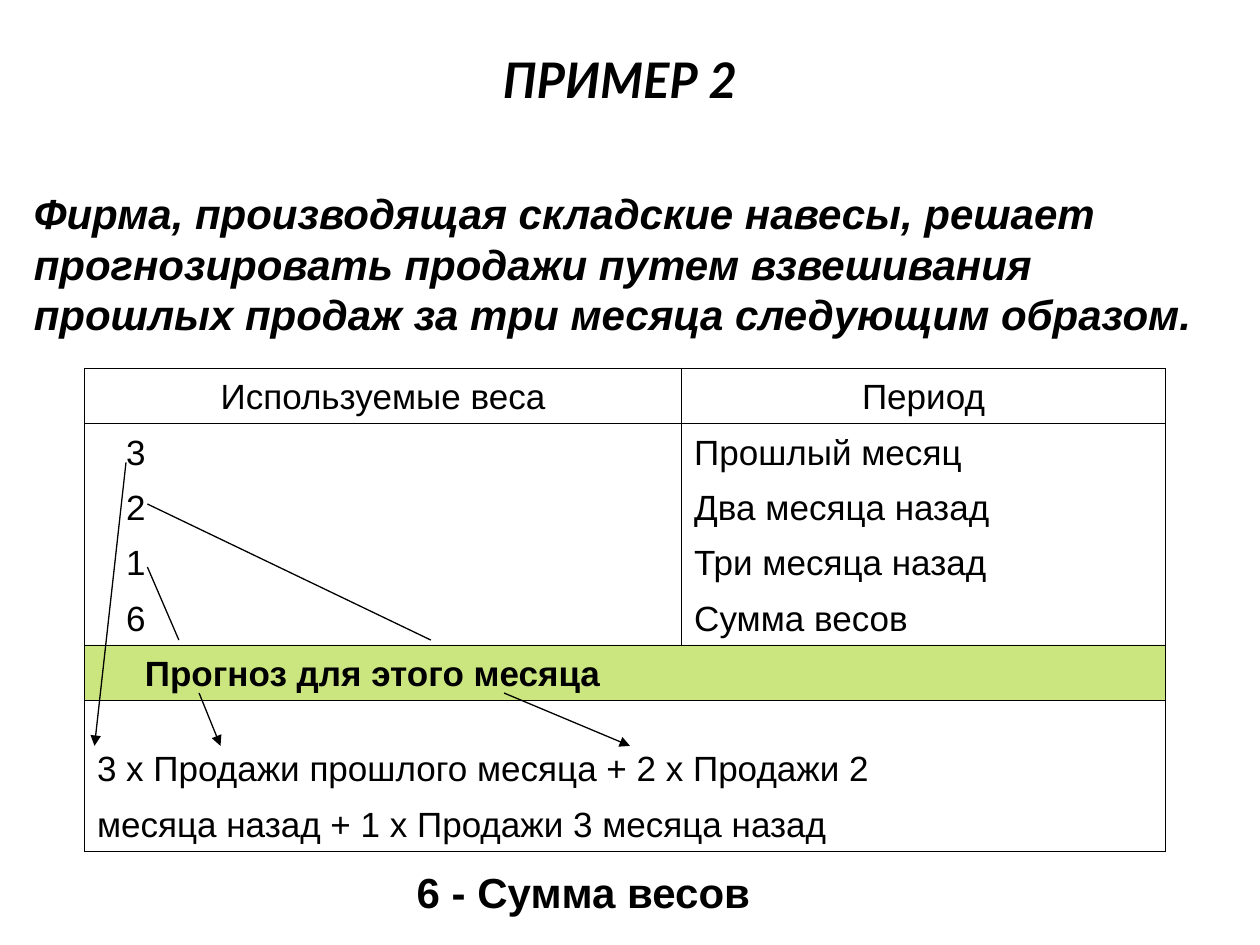
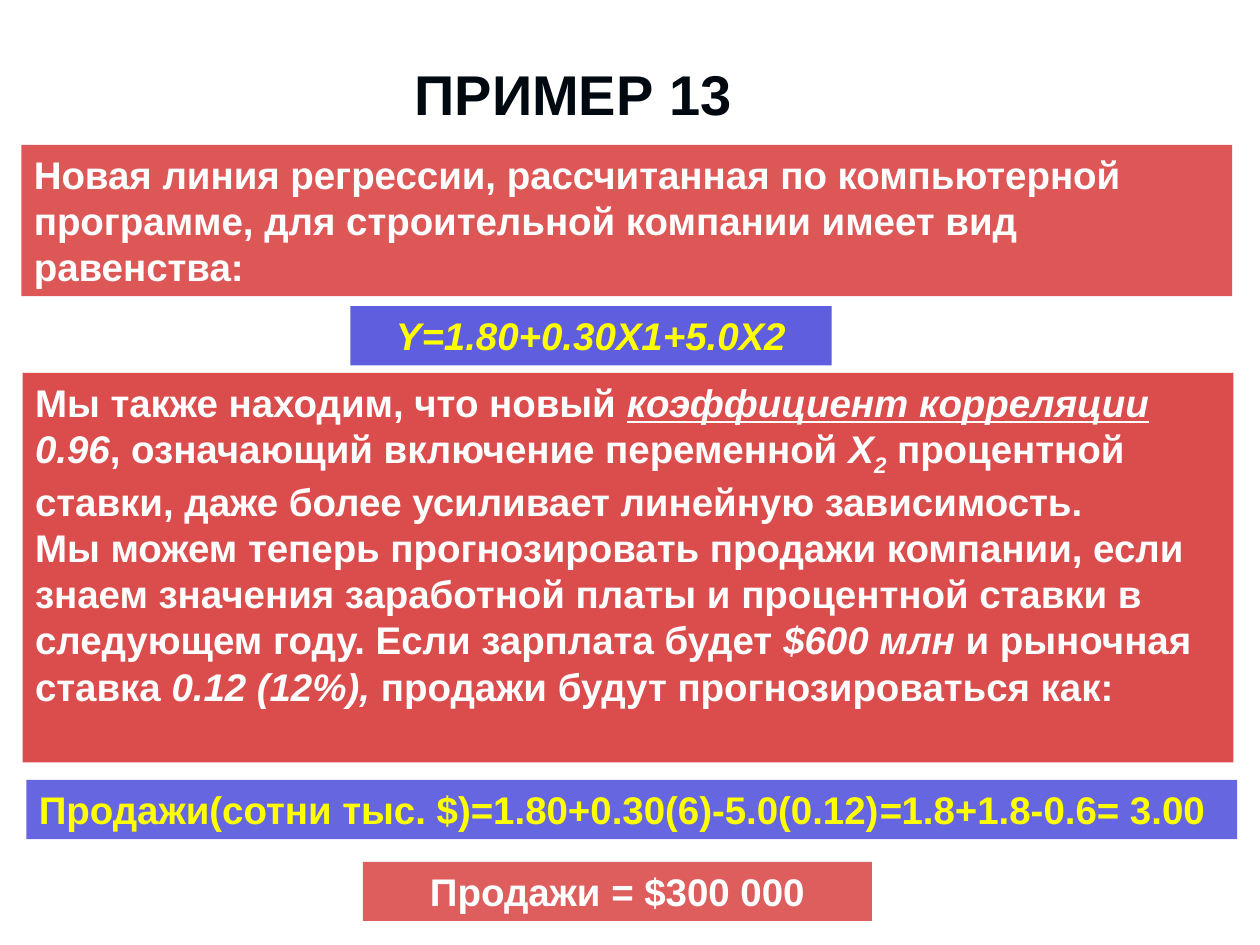
from lxml import etree
from pptx import Presentation
from pptx import util as u
from pptx.dml.color import RGBColor
from pptx.enum import shapes, text
from pptx.oxml import ns

Inches = u.Inches
BLACK = RGBColor(0x00, 0x00, 0x00)
INK = RGBColor(0x00, 0x08, 0x10)
WHITE = RGBColor(0xFF, 0xFF, 0xFF)
YELLOW = RGBColor(0xFF, 0xFF, 0x00)
RED = RGBColor(0xCC, 0x00, 0x00)
BLUE = RGBColor(0x00, 0x00, 0xCC)
GREEN = RGBColor(0x99, 0xCC, 0x00)
LEFT, CENTER = text.PP_ALIGN.LEFT, text.PP_ALIGN.CENTER
TOP, MIDDLE, BOTTOM = text.MSO_ANCHOR.TOP, text.MSO_ANCHOR.MIDDLE, text.MSO_ANCHOR.BOTTOM
PLAIN, ITALIC = {}, {"italic": True}


def write(frame, paragraphs, color, look, align=LEFT, anchor=TOP):
    settings = {"word_wrap": True, "auto_size": text.MSO_AUTO_SIZE.NONE, "vertical_anchor": anchor}
    for name, value in settings.items():
        setattr(frame, name, value)
    for index, pieces in enumerate(paragraphs):
        para = frame.add_paragraph() if index else frame.paragraphs[0]
        para.alignment = align
        for words, extra in pieces:
            span = para.add_run()
            span.text = words
            span.font.color.rgb = color
            for name, value in ({"name": "Arial"} | look | extra).items():
                if name == "baseline":
                    span.font._element.set(name, value)
                else:
                    setattr(span.font, name, value)


def set_alpha(fill_parent, percent):
    tint = fill_parent.find(ns.qn("a:solidFill"))[0]
    etree.SubElement(tint, ns.qn("a:alpha"), val=str(percent * 1000))


deck = Presentation()
deck.slide_width, deck.slide_height = Inches(10), Inches(7.5)

titles = [
    ("ПРИМЕР 2", (0.42, 0, 9, 1.25), BLACK, CENTER, MIDDLE,
     {"name": "Lato", "size": u.Pt(28), "bold": True, "italic": True}),
    ("ПРИМЕР 13", (3.19, 0.42, 2.76, 0.64), INK, LEFT, TOP, {"size": u.Pt(32), "bold": True}),
]
pages = []
for words, place, color, align, anchor, look in titles:
    page = deck.slides.add_slide(deck.slide_layouts[5])
    title = page.shapes.title
    title.left, title.top, title.width, title.height = map(Inches, place)
    write(title.text_frame, [[(words, PLAIN)]], color, look, align, anchor)
    pages.append(page)
weights_page, regression_page = pages

notes = [
    ("Фирма, производящая складские навесы, решает прогнозировать продажи путем взвешивания "
     "прошлых продаж за три месяца следующим образом.",
     (0.17, 1.42, 9.42, 1.27), (0.07, 0), LEFT, ITALIC),
    ("6 - Сумма весов", (2.92, 6.83, 3.42, 0.5), (0.05, 0.05), CENTER, PLAIN),
]
for words, place, margins, align, extra in notes:
    box = weights_page.shapes.add_textbox(*map(Inches, place))
    box.text_frame.margin_top, box.text_frame.margin_bottom = map(Inches, margins)
    write(box.text_frame, [[(words, extra)]], BLACK, {"size": u.Pt(24), "bold": True}, align, MIDDLE)

rows = [
    ("Используемые веса", "Период"),
    ("3", "Прошлый месяц"),
    ("2", "Два месяца назад"),
    ("1", "Три месяца назад"),
    ("6", "Сумма весов"),
    ("Прогноз для этого месяца",),
    ("3 х Продажи прошлого месяца + 2 х Продажи 2",),
    ("месяца назад + 1 х Продажи 3 месяца назад",),
]
heights = [0.44] * 6 + [0.75, 0.45]
header_row, forecast_row = 0, 5
ruled_below = {0, 4, 5, 7}
table = weights_page.shapes.add_table(
    len(rows), 2, Inches(0.67), Inches(2.92), Inches(8.58), Inches(sum(heights))).table
table.first_row = table.horz_banding = False
for column, width in zip(table.columns, (4.74, 3.84)):
    column.width = Inches(width)
for row_index, (row, height) in enumerate(zip(rows, heights)):
    table.rows[row_index].height = Inches(height)
    if len(row) == 1:
        table.cell(row_index, 0).merge(table.cell(row_index, 1))
    for column_index in range(2):
        cell = table.cell(row_index, column_index)
        properties = cell._tc.get_or_add_tcPr()
        edges = {"L": True, "R": True, "T": row_index == 0 or row_index - 1 in ruled_below,
                 "B": row_index in ruled_below}
        for side, ruled in edges.items():
            edge = etree.SubElement(properties, ns.qn("a:ln" + side), w=str(u.Pt(0.45)))
            paint = etree.SubElement(edge, ns.qn("a:solidFill" if ruled else "a:noFill"))
            if ruled:
                etree.SubElement(paint, ns.qn("a:srgbClr"), val=str(BLACK))
        if row_index == forecast_row:
            cell.fill.solid()
            cell.fill.fore_color.rgb = GREEN
            set_alpha(properties, 50)
        else:
            cell.fill.background()
        cell.vertical_anchor = BOTTOM
        if column_index < len(row):
            if row_index == forecast_row:
                cell.margin_left = Inches(0.48)
            elif column_index == 0 and header_row < row_index < forecast_row:
                cell.margin_left = Inches(0.33)
            para = cell.text_frame.paragraphs[0]
            para.alignment = CENTER if row_index == header_row else LEFT
            span = para.add_run()
            span.text = row[column_index]
            span.font.color.rgb = BLACK
            look = {"name": "Arial", "size": u.Pt(20), "bold": row_index == forecast_row}
            for name, value in look.items():
                setattr(span.font, name, value)

links = [
    (1, 3.67, 0.75, 5.92, True),
    (1.17, 4.5, 1.42, 5.08, False),
    (1.58, 5.5, 1.75, 5.92, True),
    (1.17, 4, 3.42, 5.08, False),
    (4, 5.5, 5, 5.92, True),
]
for *ends, has_arrow in links:
    link = weights_page.shapes.add_connector(shapes.MSO_CONNECTOR.STRAIGHT, *map(Inches, ends))
    link.line.color.rgb = BLACK
    link.line.width = u.Pt(0.75)
    if has_arrow:
        etree.SubElement(link.line._get_or_add_ln(), ns.qn("a:tailEnd"), type="triangle")
    etree.SubElement(link._element.spPr, ns.qn("a:effectLst"))

correlation = [
    ("Мы также находим, что новый ", PLAIN),
    ("коэффициент корреляции", {"italic": True, "underline": True}),
    (" ", PLAIN),
    ("0.96", ITALIC),
    (", означающий включение переменной ", PLAIN),
    ("Х", ITALIC),
    ("2", {"italic": True, "baseline": "-25000"}),
    (" процентной ставки, даже более усиливает линейную зависимость.", PLAIN),
]
forecast = [
    ("Мы можем теперь прогнозировать продажи компании, если знаем значения заработной платы "
     "и процентной ставки в следующем году. Если зарплата будет ", PLAIN),
    ("$600 млн", ITALIC),
    (" и рыночная ставка ", PLAIN),
    ("0.12 (12%),", ITALIC),
    (" продажи будут прогнозироваться как:", PLAIN),
]
sales = [
    ("Продажи(сотни тыс. $)=1.80+0.30(6)-5.0(0.12)", PLAIN),
    ("=", ITALIC),
    ("1.8+1.8-0.6= 3.00", PLAIN),
]
intro = [("Новая линия регрессии, рассчитанная по компьютерной программе, "
          "для строительной компании имеет вид равенства:", PLAIN)]
panels = [
    ((0.17, 1.15, 9.61, 1.2), RED, 66, WHITE, LEFT, [intro]),
    ((2.78, 2.43, 3.82, 0.47), BLUE, 63, YELLOW, CENTER, [[("Y=1.80+0.30X1+5.0X2", ITALIC)]]),
    ((0.18, 2.96, 9.61, 3.09), RED, 70, WHITE, LEFT, [correlation, forecast]),
    ((0.21, 6.19, 9.61, 0.47), BLUE, 60, YELLOW, LEFT, [sales]),
    ((2.88, 6.84, 4.04, 0.47), RED, 63, WHITE, CENTER, [[("Продажи = $300 000", PLAIN)]]),
]
for place, color, opacity, text_color, align, paragraphs in panels:
    panel = regression_page.shapes.add_shape(shapes.MSO_SHAPE.RECTANGLE, *map(Inches, place))
    panel.shadow.inherit = False
    panel.line.fill.background()
    panel.fill.solid()
    panel.fill.fore_color.rgb = color
    set_alpha(panel._element.spPr, opacity)
    write(panel.text_frame, paragraphs, text_color, {"size": u.Pt(22), "bold": True}, align)

deck.save("out.pptx")
